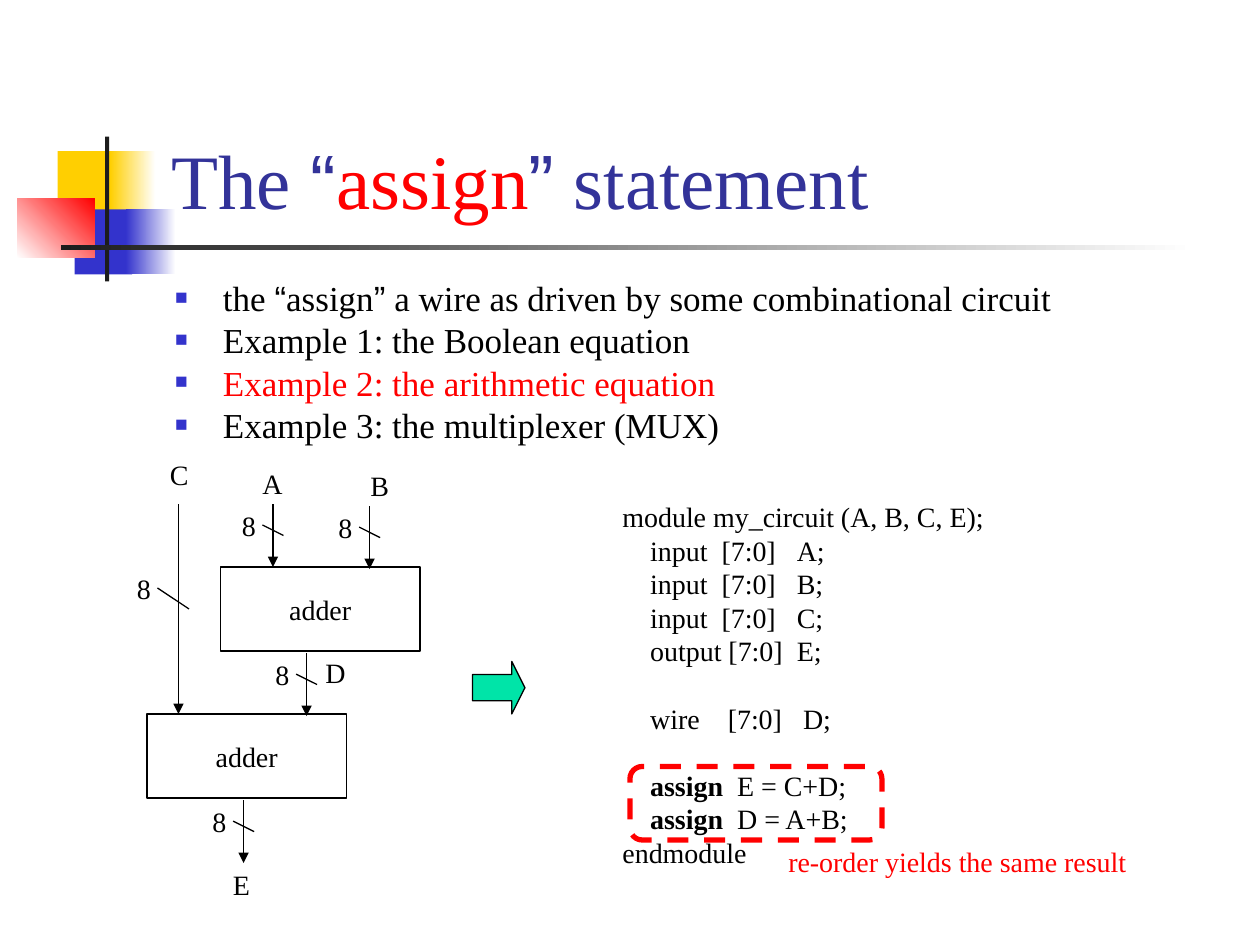
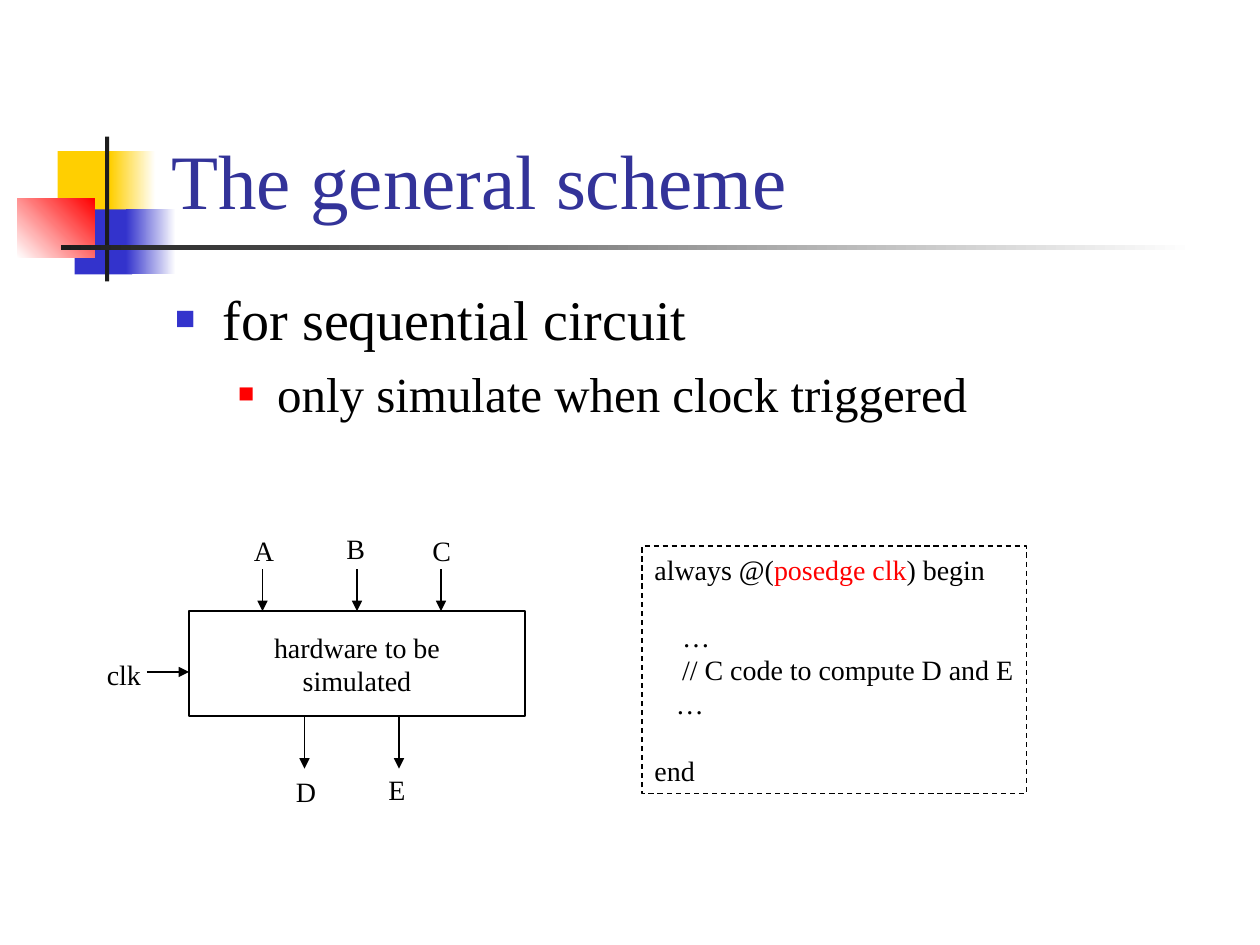
from dataclasses import dataclass
from typing import Optional

from lxml import etree
from pptx import Presentation
from pptx import util as u
from pptx.dml.color import RGBColor
from pptx.enum import dml, shapes, text
from pptx.oxml.ns import qn

# The slide is a grid of 120 columns by 90 rows
COLS, ROWS = 120, 90
BLACK, WHITE, RED, BLUE = "000000", "FFFFFF", "FF0000", "3333CC"
YELLOW, INK, NAVY, GREEN = "FFCF01", "1C1C1C", "333399", "00E4A8"
SERIF, SANS = "Times New Roman", "Arial"
THIN, CODE_GAP, LABEL_H, CODE_INDENT = 0.74, 19.2, 4.44, 0.22

prs = Presentation()
prs.slide_width, prs.slide_height = u.Inches(10), u.Inches(7.5)


@dataclass
class Run:
    text: str
    color: str = BLACK
    font: str = SERIF
    bold: bool = False
    tracking: float = 0   # points added after each character


@dataclass
class Line:
    runs: list[Run]
    size: float = 16
    before: float = 0
    spacing: Optional[float] = None
    left: float = 0       # inches
    hang: float = 0       # inches
    bullet: str = ""      # bullet colour
    bullet_pct: int = 60


@dataclass
class Band:
    box: tuple[float, float, float, float]
    start: str
    end: str = ""
    angle: float = 0


@dataclass
class Wire:
    x: float
    top: float
    bottom: float
    slash: tuple[float, float, float, float] = (-1, 2, 2, 1)


BANDS = [
    Band((5.5, 14.4, 5.8, 6.2), YELLOW),
    Band((10.5, 14.4, 4.3, 6.2), YELLOW, WHITE),
    Band((7.1, 19.95, 5.5, 6.2), BLUE),
    Band((12, 19.95, 4.75, 6.2), BLUE, WHITE),
    Band((1.65, 18.95, 7.4, 5.6), WHITE, RED, 45),
    Band((10, 13, 0.4, 13.8), INK),
    Band((5.8, 23.35, 108, 0.42), INK, WHITE),
]


def x_at(col: float) -> int:
    return int(prs.slide_width * col / COLS)


def y_at(row: float) -> int:
    return int(prs.slide_height * row / ROWS)


def rgb(value: str) -> RGBColor:
    return RGBColor.from_string(value)


def plain(value: str, **fmt) -> Line:
    color = fmt.pop("color", BLACK)
    return Line([Run(value, color)], **fmt)


def set_indent_and_bullet(p, line: Line) -> None:
    ppr = p._p.get_or_add_pPr()
    ppr.set("marL", str(u.Inches(line.left)))
    ppr.set("indent", str(u.Inches(line.hang)))
    if line.bullet:
        color = etree.SubElement(ppr, qn("a:buClr"))
        etree.SubElement(color, qn("a:srgbClr"), val=line.bullet)
        etree.SubElement(ppr, qn("a:buSzPct"), val=str(line.bullet_pct * 1000))
        etree.SubElement(ppr, qn("a:buFont"), typeface=SANS)
        etree.SubElement(ppr, qn("a:buChar"), char="■")


def write(sp, lines: list[Line], center: bool = False,
          anchor=text.MSO_ANCHOR.TOP) -> None:
    tf = sp.text_frame
    tf.word_wrap, tf.vertical_anchor = True, anchor
    tf.margin_left, tf.margin_right = u.Inches(0 if center else 0.1), 0
    tf.margin_top = tf.margin_bottom = u.Inches(0.05)
    for i, line in enumerate(lines):
        p = tf.add_paragraph() if i else tf.paragraphs[0]
        p.alignment = text.PP_ALIGN.CENTER if center else text.PP_ALIGN.LEFT
        p.space_before = u.Pt(line.before)
        if line.spacing:
            p.line_spacing = line.spacing
        set_indent_and_bullet(p, line)
        for run in line.runs:
            r = p.add_run()
            r.text = run.text
            r.font.size, r.font.name, r.font.bold = u.Pt(line.size), run.font, run.bold
            r.font.color.rgb = rgb(run.color)
            if run.tracking:
                r._r.get_or_add_rPr().set("spc", str(int(run.tracking * 100)))


def add_text(s, x: float, y: float, w: float, h: float, lines: list[Line], **fmt) -> None:
    write(s.shapes.add_textbox(x_at(x), y_at(y), x_at(w), y_at(h)), lines, **fmt)


def label(s, value: str, x: float, y: float, w: float = 4.3, color: str = BLACK) -> None:
    add_text(s, x, y, w, LABEL_H, [plain(value, color=color)])


def add_box(s, x: float, y: float, w: float, h: float,
            kind=shapes.MSO_SHAPE.RECTANGLE, fill: str = "", line: str = BLACK,
            width: float = THIN, dashed: bool = False):
    sp = s.shapes.add_shape(kind, x_at(x), y_at(y), x_at(w), y_at(h))
    sp.shadow.inherit = False
    if fill:
        sp.fill.solid()
        sp.fill.fore_color.rgb = rgb(fill)
    else:
        sp.fill.background()
    if line:
        sp.line.color.rgb, sp.line.width = rgb(line), u.Pt(width)
    else:
        sp.line.fill.background()
    if dashed:
        sp.line.dash_style = dml.MSO_LINE.DASH
    return sp


def block(s, x: float, y: float, w: float, h: float, *names: str) -> None:
    write(add_box(s, x, y, w, h), [plain(n) for n in names],
          center=True, anchor=text.MSO_ANCHOR.MIDDLE)


def add_line(s, x1: float, y1: float, x2: float, y2: float, arrow: bool = False) -> None:
    c = s.shapes.add_connector(shapes.MSO_CONNECTOR.STRAIGHT,
                               x_at(x1), y_at(y1), x_at(x2), y_at(y2))
    c.line.color.rgb, c.line.width = rgb(BLACK), u.Pt(THIN)
    if arrow:
        etree.SubElement(c.line._get_or_add_ln(), qn("a:tailEnd"), type="triangle")
    etree.SubElement(c._element.spPr, qn("a:effectLst"))


def bus(s, wire: Wire) -> None:
    """An arrow crossed by a slash and marked with its width in bits."""
    add_line(s, wire.x, wire.top, wire.x, wire.bottom, arrow=True)
    dx, dy, w, h = wire.slash
    x, y = wire.x + dx, wire.top + dy
    add_line(s, x, y, x + w, y + h)
    label(s, "8", x - 3.15, y - 2.2, 3.7)


def new_slide(title: list[Run], body: list[Line]):
    s = prs.slides.add_slide(prs.slide_layouts[6])
    for band in BANDS:
        sp = add_box(s, *band.box, fill=band.start, line="")
        if band.end:
            sp.fill.gradient()
            sp.fill.gradient_angle = band.angle
            for stop, color in zip(sp.fill.gradient_stops, (band.start, band.end)):
                stop.color.rgb = rgb(color)
    add_text(s, 15.15, 2.8, 102.2, 19.2, [Line(title, size=44)],
             anchor=text.MSO_ANCHOR.BOTTOM)
    add_text(s, 15.5, 26.5, 102, 18, body)
    return s


# Slide 1: assign statement
def item(*runs: Run) -> Line:
    return Line(list(runs), size=20, before=5, spacing=0.8,
                left=0.38, hang=-0.38, bullet=BLUE)


s = new_slide(
    [Run("The ", NAVY), Run("“", NAVY, SANS), Run("assign", RED),
     Run("”", NAVY, SANS), Run(" statement", NAVY)],
    [item(Run("the "), Run("“", font=SANS), Run("assign"), Run("”", font=SANS),
          Run(" a wire as driven by some combinational circuit")),
     item(Run("Example 1: the Boolean equation")),
     item(Run("Example 2: the arithmetic equation", RED)),
     item(Run("Example 3: the multiplexer (MUX)"))])


# Verilog module, its columns set by stretched spaces
def gap(spaces: int) -> Run:
    """One space, tracked out to the width of several (4 pt each at 16 pt)."""
    return Run(" ", tracking=4 * (spaces - 1))


def declare(kind: str, name: str, gap1: int, gap2: int, before: float = 0) -> Line:
    return Line([Run(kind), gap(gap1), Run("[7:0]"), gap(gap2), Run(f"{name};")],
                before=before, left=CODE_INDENT)


def assign(equation: str, before: float = 0) -> Line:
    return Line([Run("assign", bold=True), gap(2), Run(equation)],
                before=before, left=CODE_INDENT)


add_text(s, 58.1, 47, 36.9, 36.4, [
    plain("module my_circuit (A, B, C, E);"),
    *[declare("input", port, 2, 3) for port in "ABC"],
    declare("output", "E", 1, 2),
    declare("wire", "D", 4, 3, CODE_GAP),
    assign("E = C+D;", CODE_GAP),
    assign("D = A+B;"),
    plain("endmodule")])

# Two chained adders
for x, y in ((21, 54), (14, 68)):
    block(s, x, y, 19, 8, "adder")
for wire in (Wire(26, 48, 54), Wire(35.2, 48.2, 54.2), Wire(29.2, 62.2, 68.2),
             Wire(23.2, 76.2, 82.2), Wire(17, 48, 68, (-2, 8, 3, 2))):
    bus(s, wire)
for name, x, y in (("A", 23.8, 43.8), ("B", 34.1, 44), ("C", 15, 43),
                   ("D", 29.8, 61.8), ("E", 21, 82)):
    label(s, name, x, y)

# Arrow to the code, and the remark on order
sp = add_box(s, 45, 63, 5, 5, shapes.MSO_SHAPE.RIGHT_ARROW, fill=GREEN)
sp.adjustments[0], sp.adjustments[1] = 0.5, 0.25
add_box(s, 60, 73, 24, 7, shapes.MSO_SHAPE.ROUNDED_RECTANGLE,
        line=RED, width=3, dashed=True)
label(s, "re-order yields the same result", 73.9, 79.8, 34.6, RED)

# Slide 2: general scheme
s = new_slide(
    [Run("The general scheme", NAVY)],
    [plain("for sequential circuit", size=32, before=8,
           left=0.38, hang=-0.38, bullet=BLUE),
     plain("only simulate when clock triggered", size=28, before=7,
           left=0.81, hang=-0.31, bullet=RED, bullet_pct=55)])

# Hardware block with its ports
TOP, BOTTOM = 58.2, 68.2
block(s, 18, TOP, 32, BOTTOM - TOP, "hardware to be", "simulated")
for x in (25, 34, 42):
    add_line(s, x, TOP - 4, x, TOP, arrow=True)
for x in (29, 38):
    add_line(s, x, BOTTOM, x, BOTTOM + 5, arrow=True)
for name, x, y in (("A", 23, 50.2), ("B", 31.8, 50), ("C", 40, 50.2),
                   ("D", 27, 73.2), ("E", 35.8, 73)):
    label(s, name, x, y)

# Clocked code
write(add_box(s, 61.15, 52, 36.6, 23.6, dashed=True), [
    Line([Run("always @("), Run("posedge clk", RED), Run(") begin")]),
    plain("…", left=CODE_INDENT, before=CODE_GAP),
    plain("// C code to compute D and E", left=CODE_INDENT),
    plain("…", left=0.17),
    plain("end", before=CODE_GAP)])

# Clock input
label(s, "clk", 9, 62, 5.6)
add_line(s, 14, 64, 18, 64, arrow=True)

prs.save("out.pptx")
